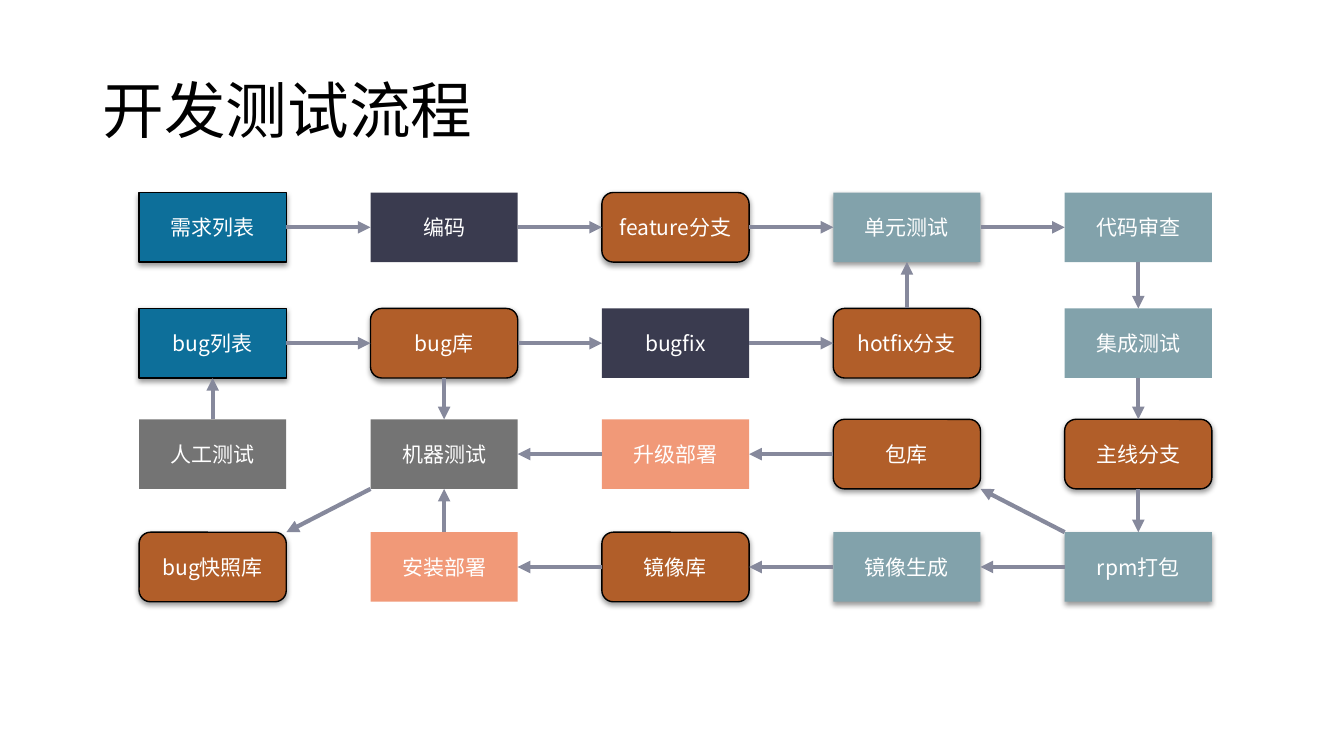
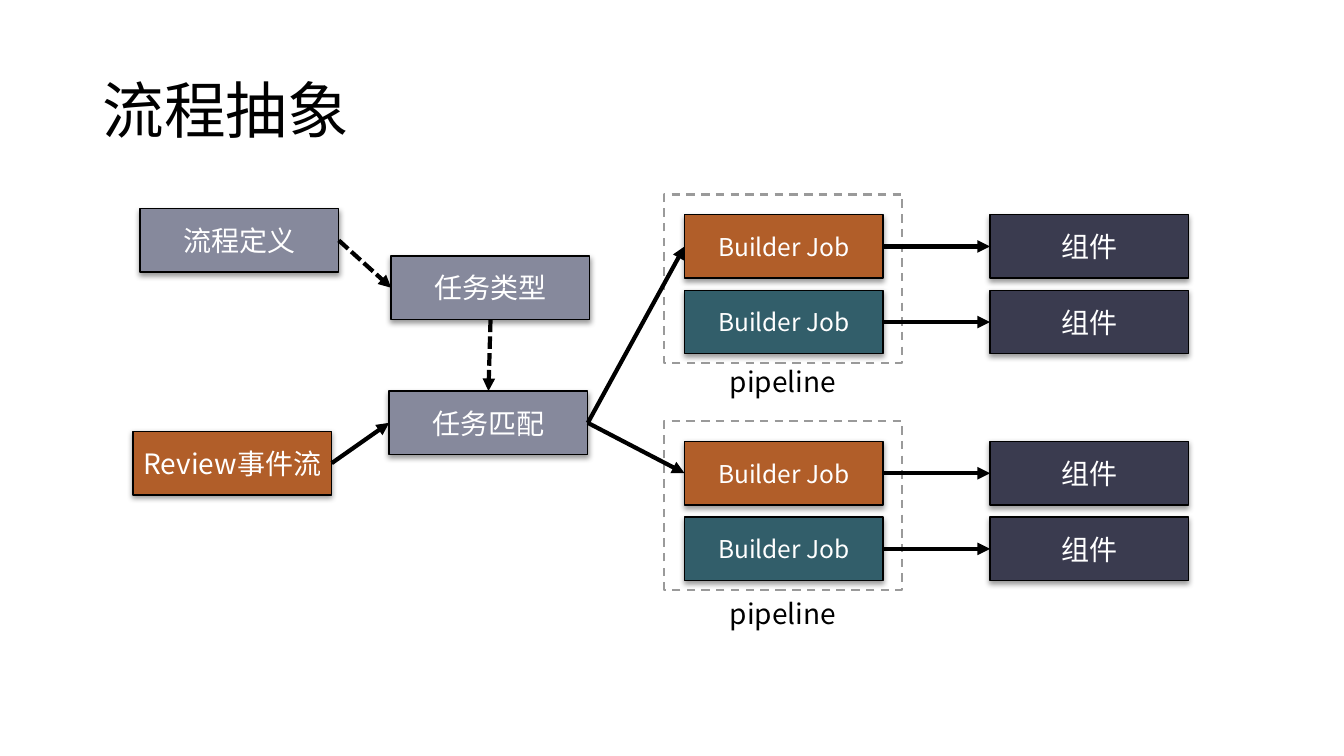
"""Build two flow slides about development and testing."""
from dataclasses import dataclass

from lxml.etree import SubElement as Sub
from pptx import Presentation
from pptx.dml.color import RGBColor as RGB
from pptx.enum.dml import MSO_LINE as Dash
from pptx.enum.shapes import MSO_CONNECTOR as Wire, MSO_SHAPE as Form
from pptx.enum.text import MSO_ANCHOR as Anchor, MSO_AUTO_SIZE as Fit, PP_ALIGN as Align
from pptx.oxml.ns import qn
from pptx.util import Inches, Pt


@dataclass(frozen=True)
class Theme:
    font: str = "Noto Sans CJK SC"
    head: str = "Calibri"
    black: str = "000000"
    white: str = "FFFFFF"
    blue: str = "0D6F9A"
    navy: str = "3A3B4F"
    rust: str = "B15E29"
    sage: str = "82A2AB"
    grey: str = "747474"
    peach: str = "F19978"
    slate: str = "86899C"
    teal: str = "325E6A"
    rim: str = "9A9A9A"
    title: float = 44
    large: float = 20
    mid: float = 17.5
    small: float = 15


T = Theme()
WIDE, HIGH = 13.33, 7.5
PAD = 0.03
SITES = {(0, -1): 0, (-1, 0): 1, (0, 1): 2, (1, 0): 3}

KINDS = {
    "list": dict(fill=T.blue),
    "code": dict(fill=T.navy, edge=False, shade=False),
    "repo": dict(fill=T.rust, bend=0.163),
    "check": dict(fill=T.sage, edge=False, shade=False),
    "make": dict(fill=T.sage, edge=False),
    "test": dict(fill=T.grey, edge=False, shade=False),
    "ship": dict(fill=T.peach, edge=False, shade=False),
}

STEPS = [
    [("需求列表", "list"), ("编码", "code"), ("feature分支", "repo"),
     ("单元测试", "make"), ("代码审查", "check")],
    [("bug列表", "list"), ("bug库", "repo"), ("bugfix", "code"),
     ("hotfix分支", "repo"), ("集成测试", "check")],
    [("人工测试", "test"), ("机器测试", "test"), ("升级部署", "ship"),
     ("包库", "repo"), ("主线分支", "repo")],
    [("bug快照库", "repo"), ("安装部署", "ship"), ("镜像库", "repo"),
     ("镜像生成", "make"), ("rpm打包", "make")],
]

PATHS = [
    "需求列表 编码 feature分支 单元测试 代码审查 集成测试 主线分支 rpm打包",
    "rpm打包 镜像生成 镜像库 安装部署 机器测试 bug快照库",
    "rpm打包 包库 升级部署 机器测试",
    "人工测试 bug列表 bug库 bugfix hotfix分支 单元测试",
    "bug库 机器测试",
]


def write(shape, text, size=T.small, color=T.white, font=T.font,
          align=Align.CENTER, pad=PAD, wrap=True, space=None):
    frame = shape.text_frame
    frame.word_wrap = wrap
    frame.vertical_anchor = Anchor.MIDDLE
    if pad is not None:
        frame.margin_left = frame.margin_right = Inches(pad)
        frame.margin_top = frame.margin_bottom = Inches(pad)
    para = frame.paragraphs[0]
    para.alignment = align
    para.line_spacing = space
    run = para.add_run()
    run.text = text
    run.font.size = Pt(size)
    run.font.color.rgb = RGB.from_string(color)
    run.font.name = font
    Sub(run.font.fill and run._r.get_or_add_rPr(), qn("a:ea"), typeface=T.font)


def place(left, top, wide, high):
    return [Inches(n) for n in (left, top, wide, high)]


def cast(shape):
    effect = shape.element.spPr.find(qn("a:effectLst"))
    shade = Sub(effect, qn("a:outerShdw"), blurRad=str(Pt(4)), dist=str(Pt(2)),
                dir="5400000", rotWithShape="0")
    tint = Sub(shade, qn("a:srgbClr"), val=T.black)
    Sub(tint, qn("a:alpha"), val="40000")


def box(slide, text, area, fill, edge=True, shade=True, bend=None, size=T.small):
    form = Form.RECTANGLE if bend is None else Form.ROUNDED_RECTANGLE
    shape = slide.shapes.add_shape(form, *place(*area))
    if bend is not None:
        shape.adjustments[0] = bend
    shape.fill.solid()
    shape.fill.fore_color.rgb = RGB.from_string(fill)
    if edge:
        shape.line.color.rgb = RGB.from_string(T.black)
        shape.line.width = Pt(1)
    else:
        shape.line.fill.background()
    shape.shadow.inherit = False
    if shade:
        cast(shape)
    write(shape, text, size=size)
    return shape


def frame(slide, area):
    shape = slide.shapes.add_shape(Form.RECTANGLE, *place(*area))
    shape.fill.background()
    shape.line.color.rgb = RGB.from_string(T.rim)
    shape.line.width = Pt(1.5)
    shape.line.dash_style = Dash.DASH
    shape.shadow.inherit = False


def label(slide, text, area):
    shape = slide.shapes.add_textbox(*place(*area))
    write(shape, text, size=T.large, color=T.black, wrap=False)
    shape.text_frame.auto_size = Fit.SHAPE_TO_FIT_TEXT


def spot(shape, across, down):
    return (int(shape.left + shape.width * (1 + across) / 2),
            int(shape.top + shape.height * (1 + down) / 2))


def arrow(slide, tail, tip, across=1, down=0, color=T.black, dash=None):
    wire = slide.shapes.add_connector(
        Wire.STRAIGHT, *spot(tail, across, down), *spot(tip, -across, -down))
    if (across, down) in SITES:
        wire.begin_connect(tail, SITES[across, down])
        wire.end_connect(tip, SITES[-across, -down])
    wire.line.color.rgb = RGB.from_string(color)
    wire.line.width = Pt(3)
    if dash:
        wire.line.dash_style = dash
    props = wire.element.spPr
    Sub(props.find(qn("a:ln")), qn("a:tailEnd"), type="triangle")
    Sub(props, qn("a:effectLst"))


def start(deck, text):
    slide = deck.slides.add_slide(deck.slide_layouts[6])
    shape = slide.shapes.add_textbox(*place(0.92, 0.4, 11.5, 1.45))
    write(shape, text, size=T.title, color=T.black, font=T.head,
          align=Align.LEFT, pad=None, space=0.9)
    return slide


def sign(num):
    return (num > 0) - (num < 0)


def draw_flow(deck):
    slide = start(deck, "开发测试流程")
    rows = (1.91, 3.06, 4.16, 5.28)
    boxes, cells = {}, {}
    for row, steps in enumerate(STEPS):
        for col, (name, kind) in enumerate(steps):
            area = (1.38 + 2.295 * col, rows[row], 1.46, 0.69)
            boxes[name] = box(slide, name, area, **KINDS[kind])
            cells[name] = col, row
    for path in PATHS:
        names = path.split()
        for tail, tip in zip(names, names[1:]):
            across, down = (sign(b - a) for a, b in zip(cells[tail], cells[tip]))
            arrow(slide, boxes[tail], boxes[tip], across, down, T.slate)


def draw_model(deck):
    slide = start(deck, "流程抽象")
    size = (1.97, 0.63)

    def node(text, left, top, fill, points=T.large):
        return box(slide, text, (left, top, *size), fill, size=points)

    event = node("Review事件流", 1.32, 4.28, T.rust)
    match = node("任务匹配", 3.86, 3.88, T.slate)
    sort = node("任务类型", 3.88, 2.54, T.slate)
    plan = node("流程定义", 1.39, 2.07, T.slate)
    for top, base in ((2.13, 3.59), (4.38, 5.89)):
        frame(slide, (6.59, top - 0.2, 2.36, 1.67))
        label(slide, "pipeline", (7.2, base, 1.13, 0.39))
        for row, fill in enumerate((T.rust, T.teal)):
            level = top + 0.75 * row
            job = node("Builder Job", 6.79, level, fill, T.mid)
            part = node("组件", 9.82, level, T.navy)
            arrow(slide, job, part)
            if row == 0:
                arrow(slide, match, job)
    arrow(slide, event, match)
    arrow(slide, plan, sort, dash=Dash.SQUARE_DOT)
    arrow(slide, sort, match, 0, 1, dash=Dash.SQUARE_DOT)


def main():
    deck = Presentation()
    deck.slide_width, deck.slide_height = Inches(WIDE), Inches(HIGH)
    draw_flow(deck)
    draw_model(deck)
    deck.save("out.pptx")


if __name__ == "__main__":
    main()
